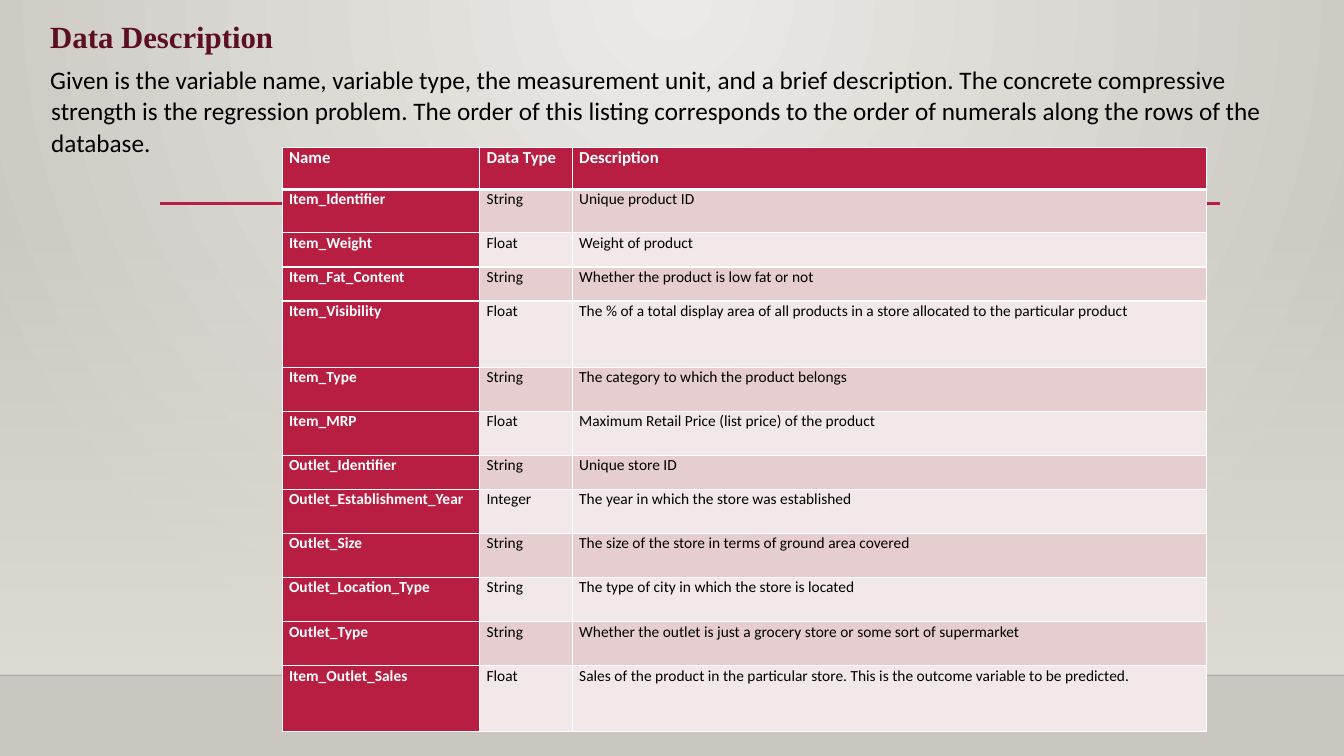
from lxml import etree
from pptx import Presentation
from pptx.dml.color import RGBColor
from pptx.enum import shapes, text
from pptx.oxml.ns import qn
from pptx.util import Pt

RED = RGBColor(0xB7, 0x1E, 0x42)
WINE = RGBColor(0x5C, 0x0F, 0x21)
PINK = RGBColor(0xE6, 0xCD, 0xCF)
PALE = RGBColor(0xF3, 0xE8, 0xE9)
LIGHT = RGBColor(0xEC, 0xEA, 0xE7)
STONE = RGBColor(0xCA, 0xC7, 0xC1)
SAND = RGBColor(0xDF, 0xDB, 0xD5)
BLACK = RGBColor(0, 0, 0)
INK = RGBColor(0, 0, 1)
WHITE = RGBColor(255, 255, 255)

WIDE, HIGH = 960, 540
COLS = [141.1, 66.2, 452.9]
ROWS = [
    (30.2, "Name", "Data Type", "Description"),
    (31, "Item_Identifier", "String", "Unique product ID"),
    (24.4, "Item_Weight", "Float", "Weight of product"),
    (24.4, "Item_Fat_Content", "String", "Whether the product is low fat or not"),
    (47.2, "Item_Visibility", "Float", "The % of a total display area of all products "
     "in a store allocated to the particular product"),
    (31.5, "Item_Type", "String", "The category to which the product belongs"),
    (31.5, "Item_MRP", "Float", "Maximum Retail Price (list price) of the product"),
    (24.4, "Outlet_Identifier", "String", "Unique store ID"),
    (31.5, "Outlet_Establishment_Year", "Integer",
     "The year in which the store was established"),
    (31.5, "Outlet_Size", "String",
     "The size of the store in terms of ground area covered"),
    (31.5, "Outlet_Location_Type", "String",
     "The type of city in which the store is located"),
    (31.5, "Outlet_Type", "String",
     "Whether the outlet is just a grocery store or some sort of supermarket"),
    (47.2, "Item_Outlet_Sales", "Float", "Sales of the product in the particular store. "
     "This is the outcome variable to be predicted."),
]
INTRO = ("Given is the variable name, variable type, the measurement unit, and a brief "
         "description. The concrete compressive strength is the regression problem. "
         "The order of this listing corresponds to the order of numerals along the rows "
         "of the database.")


def node(root, tag, **attrs):
    """Append a drawing element and return it."""
    return etree.SubElement(root, qn(tag), attrs)


def write(para, words, size=11, font="Calibri", color=BLACK, bold=False, align=None):
    """Fill a paragraph with one formatted run."""
    para.alignment = align
    para.line_spacing = 1.03
    para.space_after = Pt(6.3)
    props = para._p.get_or_add_pPr()
    props.set("marL", str(Pt(0.7)))
    props.set("indent", str(-Pt(0.7)))
    run = para.add_run()
    run.text = words
    run.font.size, run.font.name, run.font.bold = Pt(size), font, bold
    run.font.color.rgb = color


def blend(fill, first, last):
    """Give a fill two gradient stops."""
    fill.gradient()
    for stop, color, spot in zip(fill.gradient_stops, (first, last), (0, 1)):
        stop.color.rgb = color
        stop.position = spot


def rule(slide, left, top, width, color, weight, alpha=None):
    """Draw a level line."""
    line = slide.shapes.add_connector(
        shapes.MSO_CONNECTOR.STRAIGHT, Pt(left), Pt(top), Pt(left + width), Pt(top))
    line.line.color.rgb = color
    line.line.width = Pt(weight)
    props = line._element.spPr
    if alpha:
        node(next(props.iter(qn("a:srgbClr"))), "a:alpha", val=str(alpha * 1000))
    node(props, "a:effectLst")


def scene(slide, left, top, width, height):
    """Paint the backdrop, the floor edge and the accent line."""
    blend(slide.background.fill, LIGHT, STONE)
    lin = next(slide.element.iter(qn("a:lin")))
    grad = lin.getparent()
    grad.remove(lin)
    glow = node(grad, "a:path", path="circle")
    node(glow, "a:fillToRect", l="43000", t="0", r="43000", b="100000")

    floor = top + height - 57.6
    wall = slide.shapes.add_shape(shapes.MSO_SHAPE.RECTANGLE, Pt(left),
                                  Pt(floor - 323.3), Pt(width), Pt(323.3))
    wall.shadow.inherit = False
    wall.line.fill.background()
    blend(wall.fill, SAND, SAND)
    wall.fill.gradient_angle = 270
    node(next(wall._element.spPr.iter(qn("a:srgbClr"))), "a:alpha", val="0")
    rule(slide, left, floor, width, INK, 1, 20)
    rule(slide, left + 114.5, top + 145.4, 756.7, RED, 2.5)


def edge(cell, row):
    """Add white borders, thick under the header row."""
    props = cell._tc.get_or_add_tcPr()
    for spot, side in enumerate("LRTB"):
        thick = (row, side) in ((0, "B"), (1, "T"))
        line = node(props, "a:ln" + side, w=str(Pt(3 if thick else 1)))
        node(node(line, "a:solidFill"), "a:srgbClr", val=str(WHITE))
        props.insert(spot, line)


def grid(slide, left, top, width, height):
    """Build the table of variables."""
    table = slide.shapes.add_table(len(ROWS), len(COLS), Pt(left), Pt(top),
                                   Pt(width), Pt(height)).table
    for col, size in zip(table.columns, COLS):
        col.width = Pt(size)
    for r, (tall, *words) in enumerate(ROWS):
        table.rows[r].height = Pt(tall)
        for c, word in enumerate(words):
            cell = table.cell(r, c)
            head = r == 0 or c == 0
            cell.margin_left = cell.margin_right = Pt(4.9)
            cell.margin_top = cell.margin_bottom = 0
            cell.fill.solid()
            cell.fill.fore_color.rgb = RED if head else PINK if r % 2 else PALE
            edge(cell, r)
            write(cell.text_frame.paragraphs[0], word, size=11 if r else 12,
                  color=WHITE if head else BLACK, bold=head,
                  align=text.PP_ALIGN.JUSTIFY)


def intro(slide, left, top, width, height):
    """Place the heading and its paragraph."""
    frame = slide.shapes.add_textbox(Pt(left), Pt(top), Pt(width), Pt(height)).text_frame
    frame.word_wrap = True
    frame.auto_size = text.MSO_AUTO_SIZE.SHAPE_TO_FIT_TEXT
    write(frame.paragraphs[0], "Data Description", size=22,
          font="Times New Roman", color=WINE, bold=True)
    write(frame.add_paragraph(), INTRO, size=18)


def main():
    """Make the deck."""
    deck = Presentation()
    deck.slide_width, deck.slide_height = Pt(WIDE), Pt(HIGH)
    slide = deck.slides.add_slide(deck.slide_layouts[6])
    scene(slide, 0, 0, WIDE, HIGH)
    grid(slide, 201.6, 105.1, sum(COLS), sum(row[0] for row in ROWS))
    intro(slide, 28.8, 8.6, 879.8, 107.3)
    deck.save("out.pptx")


if __name__ == "__main__":
    main()
